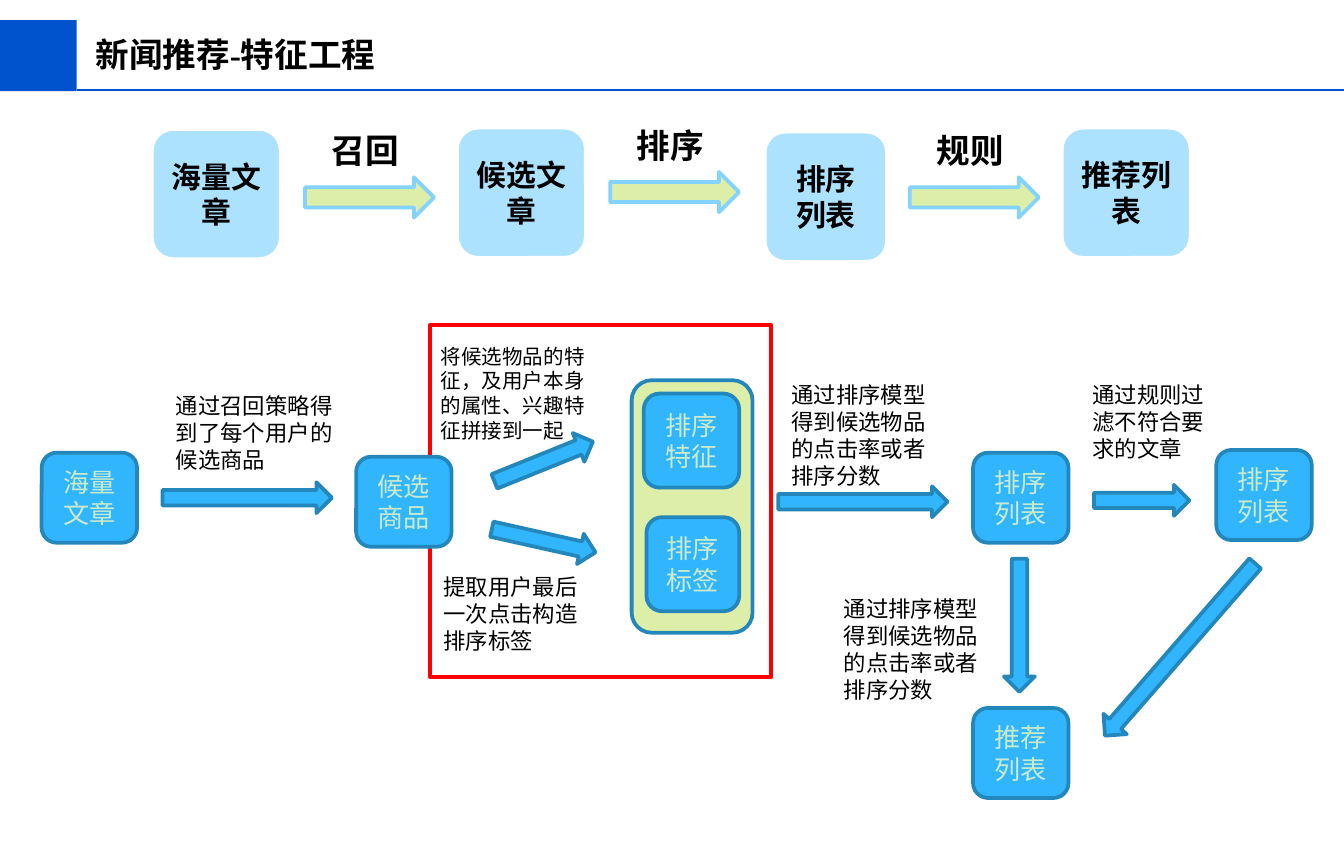
from lxml import etree
from pptx import Presentation
from pptx import util as u
from pptx.dml.color import RGBColor
from pptx.enum import lang, shapes, text
from pptx.oxml.ns import qn

FONT = "Times New Roman"
BLACK, WHITE, PALE = "000000", "FFFFFF", "CAEACE"
NAVY, BLUE, EDGE = "0053CC", "31B6FD", "2487BB"
SKY, SKY_EDGE, LIME, RED = "ADE2FE", "83D3FE", "DCEEA7", "FF0000"


def rgb(value):
    return RGBColor.from_string(value)


def write(frame, words, size=12, color=BLACK, bold=False, align="LEFT",
          anchor="TOP", margin=0.1):
    frame.word_wrap = True
    frame.auto_size = text.MSO_AUTO_SIZE.NONE
    frame.vertical_anchor = text.MSO_ANCHOR[anchor]
    frame.margin_left = frame.margin_right = u.Inches(margin)
    paragraph = frame.paragraphs[0]
    paragraph.alignment = text.PP_ALIGN[align]
    run = paragraph.add_run()
    run.text = words
    run.font.name = FONT
    run.font.size = u.Pt(size)
    run.font.bold = bold
    run.font.color.rgb = rgb(color)
    run.font.language_id = lang.MSO_LANGUAGE_ID.SIMPLIFIED_CHINESE


class FlowSlide:
    def __init__(self, presentation):
        self.slide = presentation.slides.add_slide(presentation.slide_layouts[5])
        self.slide.background.fill.solid()
        self.slide.background.fill.fore_color.rgb = rgb(WHITE)

    def title(self, words, left, top, width, height):
        title = self.slide.shapes.title
        title.left, title.top = u.Inches(left), u.Inches(top)
        title.width, title.height = u.Inches(width), u.Inches(height)
        write(title.text_frame, words, size=18, bold=True)

    def shape(self, kind, left, top, width, height, fill=None, line=None):
        shape = self.slide.shapes.add_shape(
            shapes.MSO_SHAPE[kind], *map(u.Inches, (left, top, width, height)))
        shape.shadow.inherit = False
        if fill:
            shape.fill.solid()
            shape.fill.fore_color.rgb = rgb(fill)
        else:
            shape.fill.background()
        if line:
            shape.line.color.rgb = rgb(line)
            shape.line.width = u.Pt(2)
        else:
            shape.line.fill.background()
        return shape

    def rule(self, left, top, right, color):
        line = self.slide.shapes.add_connector(
            shapes.MSO_CONNECTOR.STRAIGHT,
            *map(u.Inches, (left, top, right, top)))
        line.line.color.rgb = rgb(color)
        line.line.width = u.Pt(1)
        etree.SubElement(line._element.spPr, qn("a:effectLst"))

    def stage(self, words, left, top, width=0.96):
        box = self.shape("ROUNDED_RECTANGLE", left, top, width, 0.97, SKY, WHITE)
        write(box.text_frame, words, size=16, bold=True, align="CENTER",
              anchor="MIDDLE", margin=0.09)

    def step(self, words, left, top, width=0.71, height=0.67):
        box = self.shape("ROUNDED_RECTANGLE", left, top, width, height, BLUE, EDGE)
        write(box.text_frame, words, size=14, color=PALE, align="CENTER",
              anchor="MIDDLE")

    def arrow(self, left, top, width, height=0.23, turn=0, fill=BLUE, line=EDGE):
        arrow = self.shape("RIGHT_ARROW", left, top, width, height, fill, line)
        arrow.rotation = turn

    def note(self, words, left, top, width, height, **style):
        box = self.slide.shapes.add_textbox(
            *map(u.Inches, (left, top, width, height)))
        write(box.text_frame, words, **style)


def main():
    presentation = Presentation()
    presentation.slide_width = u.Inches(10)
    presentation.slide_height = u.Inches(6.26)
    flow = FlowSlide(presentation)

    # Header
    flow.shape("RECTANGLE", 0, 0.15, 0.57, 0.53, NAVY)
    flow.rule(0.57, 0.67, 10, NAVY)
    flow.title("新闻推荐-特征工程", 0.61, 0.2, 3.6, 0.4)

    # Overview: four stages, with a named arrow between each pair
    flow.stage("海量文章", 1.13, 0.96)
    flow.stage("候选文章", 3.4, 0.95)
    flow.stage("排序列表", 5.69, 0.98, width=0.91)
    flow.stage("推荐列表", 7.9, 0.95)
    for words, left, top in (("召回", 2.27, 1.32), ("排序", 4.54, 1.28),
                             ("规则", 6.77, 1.32)):
        flow.arrow(left, top, 0.96, 0.3, fill=LIME, line=SKY_EDGE)
        flow.note(words, left + 0.1, top - 0.4, 0.72, 0.4, size=18, bold=True)

    # Feature engineering frame and the panel inside it
    flow.shape("RECTANGLE", 3.2, 2.42, 2.54, 2.62, line=RED)
    flow.shape("ROUNDED_RECTANGLE", 4.7, 2.83, 0.9, 1.88, LIME, EDGE)

    # Detailed steps
    flow.step("海量文章", 0.31, 3.37)
    flow.step("候选商品", 2.65, 3.4)
    flow.step("排序特征", 4.79, 2.93, height=0.7)
    flow.step("排序标签", 4.81, 3.85, width=0.69, height=0.7)
    flow.step("排序列表", 7.24, 3.37)
    flow.step("排序列表", 9.05, 3.35)
    flow.step("推荐列表", 7.24, 5.27)

    # Arrows between steps
    flow.arrow(1.21, 3.59, 1.26)
    flow.arrow(3.65, 3.32, 0.79, turn=338)
    flow.arrow(3.65, 3.91, 0.79, turn=12.6)
    flow.arrow(5.79, 3.62, 1.26)
    flow.arrow(8.14, 3.61, 0.71)
    flow.arrow(7.09, 4.54, 0.99, turn=90)
    flow.arrow(7.93, 4.72, 1.7, turn=131.1)

    # Explanations
    flow.note("通过召回策略得到了每个用户的候选商品", 1.21, 2.87, 1.43, 0.71)
    flow.note("将候选物品的特征，及用户本身的属性、兴趣特征拼接到一起",
              3.18, 2.51, 1.28, 0.84, size=11)
    flow.note("提取用户最后一次点击构造排序标签", 3.2, 4.22, 1.28, 0.71)
    for left, top in ((5.79, 2.79), (6.18, 4.38)):
        flow.note("通过排序模型得到候选物品的点击率或者排序分数",
                  left, top, 1.28, 0.91)
    flow.note("通过规则过滤不符合要求的文章", 8.03, 2.79, 1.05, 0.71)

    presentation.save("out.pptx")


if __name__ == "__main__":
    main()
